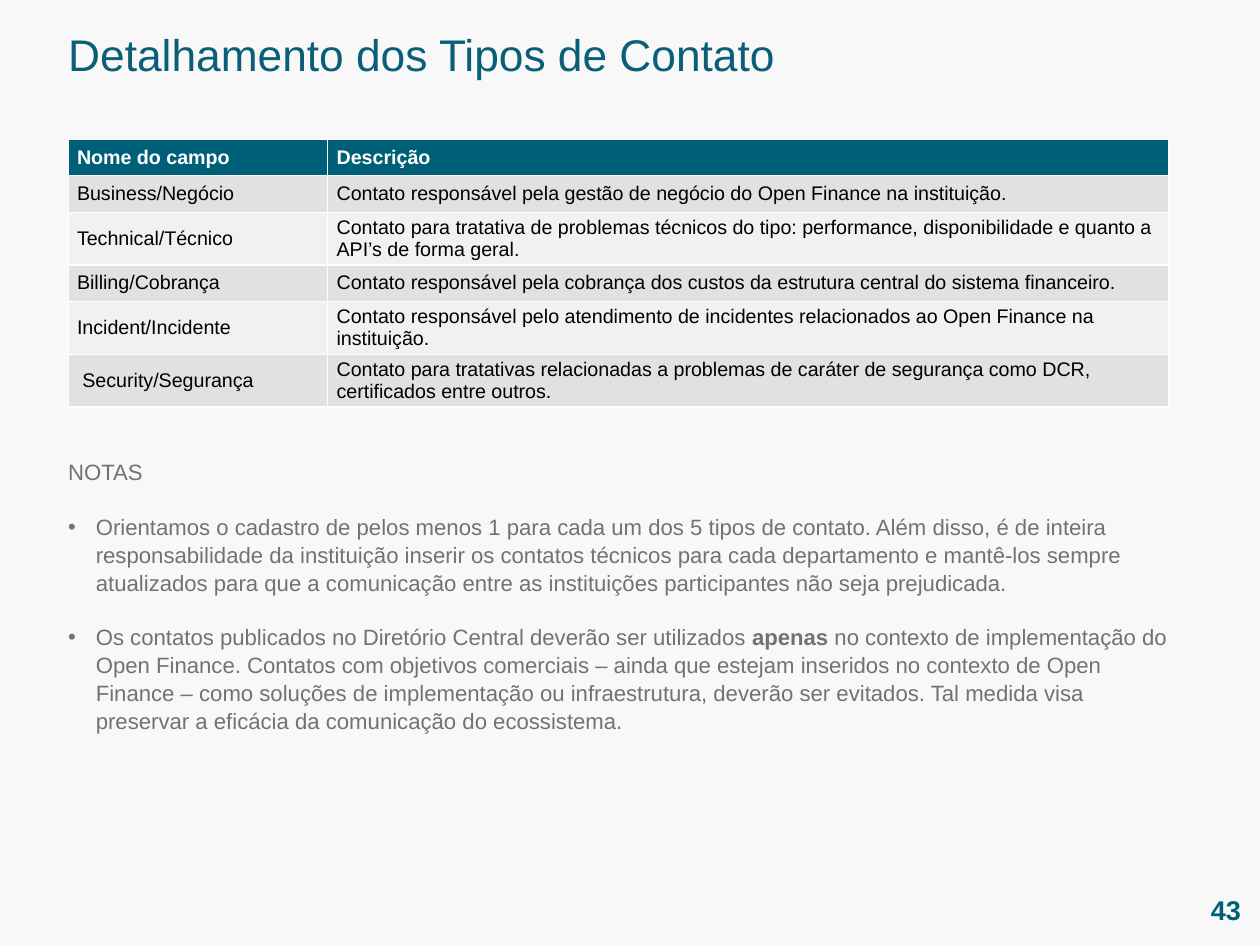
from pptx import Presentation
from pptx.dml.color import RGBColor
from pptx.enum.text import MSO_ANCHOR, PP_ALIGN
from pptx.oxml.ns import qn
from pptx.util import Pt
from lxml.etree import SubElement

COLORS = {
    "background": "F8F8F8", "title": "095F78", "teal": "005F78", "white": "FFFFFF",
    "black": "000000", "odd": "E1E1E1", "even": "F1F1F1", "gray": "727272",
}
LEFT, WIDTH = 55.4, 894


def format_font(font, size, color, bold=False):
    for name, value in {"name": "Arial", "size": Pt(size), "bold": bold}.items():
        setattr(font, name, value)
    font.color.rgb = RGBColor.from_string(COLORS[color])


def format_frame(sp, left, top, width, height, anchor=MSO_ANCHOR.TOP):
    box = {"left": left, "top": top, "width": width, "height": height}
    for name, value in box.items():
        setattr(sp, name, Pt(value))
    tf = sp.text_frame
    values = {"margin_left": 0, "margin_top": 0, "margin_right": 0, "margin_bottom": 0,
              "word_wrap": True, "vertical_anchor": anchor}
    for name, value in values.items():
        setattr(tf, name, value)
    return tf


prs = Presentation()
prs.slide_width, prs.slide_height = Pt(1024), Pt(768)
s = prs.slides.add_slide(prs.slide_layouts[5])
s.background.fill.solid()
s.background.fill.fore_color.rgb = RGBColor.from_string(COLORS["background"])

tf = format_frame(s.shapes.title, LEFT, 22.3, 600, 44)
p = tf.paragraphs[0]
p.text = "Detalhamento dos Tipos de Contato"
p.alignment = PP_ALIGN.LEFT
format_font(p.runs[0].font, 36, "title")

contacts = [
    ("Nome do campo", "Descrição", 29.5),
    ("Business/Negócio", "Contato responsável pela gestão de negócio do Open Finance na instituição.", 29.5),
    ("Technical/Técnico", "Contato para tratativa de problemas técnicos do tipo: performance, disponibilidade e quanto a API’s de forma geral.", 43),
    ("Billing/Cobrança", "Contato responsável pela cobrança dos custos da estrutura central do sistema financeiro.", 29.5),
    ("Incident/Incidente", "Contato responsável pelo atendimento de incidentes relacionados ao Open Finance na instituição.", 43),
    ("Security/Segurança", "Contato para tratativas relacionadas a problemas de caráter de segurança como DCR, certificados entre outros.", 43),
]
height = sum(contact[2] for contact in contacts)
table = s.shapes.add_table(len(contacts), 2, Pt(LEFT), Pt(113.4), Pt(WIDTH), Pt(height)).table
table.columns[0].width, table.columns[1].width = Pt(211), Pt(683)
for i, (field, description, row_height) in enumerate(contacts):
    table.rows[i].height = Pt(row_height)
    fill = "teal" if i == 0 else "odd" if i % 2 else "even"
    for cell, text in zip(table.rows[i].cells, (field, description)):
        cell.fill.solid()
        cell.fill.fore_color.rgb = RGBColor.from_string(COLORS[fill])
        cell.vertical_anchor = MSO_ANCHOR.MIDDLE
        p = cell.text_frame.paragraphs[0]
        p.text = text
        format_font(p.runs[0].font, 16, "white" if i == 0 else "black", i == 0)
table.cell(len(contacts) - 1, 0).margin_left = Pt(11.6)

notes = [
    ["NOTAS"],
    ["Orientamos o cadastro de pelos menos 1 para cada um dos 5 tipos de contato. Além disso, é de inteira responsabilidade da instituição inserir os contatos técnicos para cada departamento e mantê-los sempre atualizados para que a comunicação entre as instituições participantes não seja prejudicada."],
    ["Os contatos publicados no Diretório Central deverão ser utilizados ", "apenas",
     " no contexto de implementação do Open Finance. Contatos com objetivos comerciais – ainda que estejam inseridos no contexto de Open Finance – como soluções de implementação ou infraestrutura, deverão ser evitados. Tal medida visa preservar a eficácia da comunicação do ecossistema."],
]
tf = format_frame(s.shapes.add_textbox(0, 0, 0, 0), LEFT, 371.5, WIDTH, 240)
for i, note in enumerate(notes):
    p = tf.add_paragraph() if i else tf.paragraphs[0]
    p.line_spacing = 1.05
    if i:
        p.space_before = Pt(21.7)
        pPr = p._p.get_or_add_pPr()
        pPr.set("marL", str(Pt(22.5)))
        pPr.set("indent", str(-Pt(22.5)))
        color = SubElement(SubElement(pPr, qn("a:buClr")), qn("a:srgbClr"))
        color.set("val", COLORS["gray"])
        SubElement(pPr, qn("a:buFont")).set("typeface", "Arial")
        SubElement(pPr, qn("a:buChar")).set("char", "•")
    for text in note:
        r = p.add_run()
        r.text = text
        format_font(r.font, 18, "gray", text == "apenas")

tf = format_frame(s.shapes.add_textbox(0, 0, 0, 0), 950, 722, 58.5, 34, MSO_ANCHOR.MIDDLE)
p = tf.paragraphs[0]
p.text = "43"
p.alignment = PP_ALIGN.RIGHT
format_font(p.runs[0].font, 22, "teal", True)

prs.save("out.pptx")
